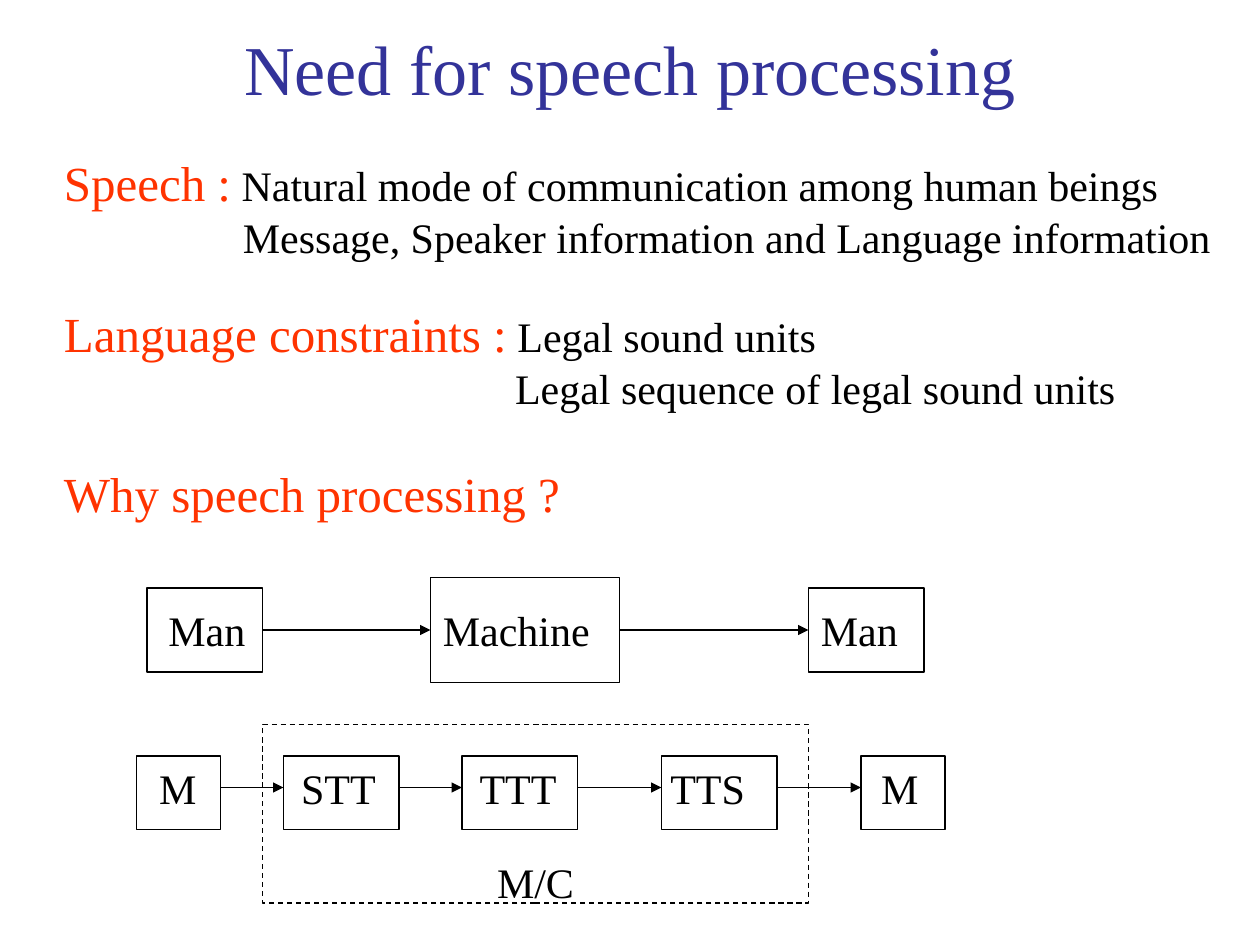
from pptx import Presentation
from pptx.dml.color import RGBColor
from pptx.enum.dml import MSO_LINE
from pptx.enum.shapes import MSO_CONNECTOR, MSO_SHAPE
from pptx.enum.text import MSO_ANCHOR, PP_ALIGN
from pptx.oxml.ns import qn
from pptx.util import Inches, Pt
from lxml import etree

RECTANGLE = MSO_SHAPE.RECTANGLE
STRAIGHT = MSO_CONNECTOR.STRAIGHT
LEFT, CENTER, TOP = PP_ALIGN.LEFT, PP_ALIGN.CENTER, MSO_ANCHOR.TOP
DASH = MSO_LINE.DASH

BLUE = RGBColor(0x33, 0x33, 0x99)
RED = RGBColor(0xFF, 0x33, 0x00)
BLACK = RGBColor(0, 0, 0)

FONT = "Times New Roman"
TITLE_SIZE, HEADING_SIZE, TEXT_SIZE = 40, 28, 24
LINE_HEIGHT = 1.2
LINE_WIDTH = Pt(0.75)
CELL = Inches(1) // 12  # the diagrams sit on a grid of twelfths of an inch
RIGHT_SIDE, LEFT_SIDE = 3, 1


def add_run(paragraph, text, size, color):
    run = paragraph.add_run()
    run.text = text
    run.font.name = FONT
    run.font.size = Pt(size)
    run.font.color.rgb = color


def set_paragraph(paragraph, runs, align=LEFT, indent=0, gap=0):
    """Fill a paragraph with (text, size, color) runs; the largest sets its height."""
    paragraph.alignment = align
    paragraph.line_spacing = Pt(LINE_HEIGHT * max(size for _, size, _ in runs))
    paragraph.space_before = Pt(gap)
    if indent:
        paragraph._p.get_or_add_pPr().set("marL", str(Inches(indent)))
    for run in runs:
        add_run(paragraph, *run)


def add_text(slide, box, paragraphs):
    frame = slide.shapes.add_textbox(*box).text_frame
    frame.word_wrap = True
    for index, options in enumerate(paragraphs):
        paragraph = frame.add_paragraph() if index else frame.paragraphs[0]
        set_paragraph(paragraph, **options)


def add_outline(slide, box):
    shape = slide.shapes.add_shape(RECTANGLE, *box)
    shape.shadow.inherit = False
    shape.fill.background()
    shape.line.color.rgb = BLACK
    shape.line.width = LINE_WIDTH
    return shape


def add_arrow(slide, start, end, y):
    """Join two boxes at height y, glued where y is the middle of their sides."""
    arrow = slide.shapes.add_connector(
        STRAIGHT, start.left + start.width, y, end.left, y)
    if start.top + start.height // 2 == y:
        arrow.begin_connect(start, RIGHT_SIDE)
    if end.top + end.height // 2 == y:
        arrow.end_connect(end, LEFT_SIDE)
    arrow.line.color.rgb = BLACK
    arrow.line.width = LINE_WIDTH
    etree.SubElement(arrow.line._get_or_add_ln(), qn("a:tailEnd"), type="triangle")
    etree.SubElement(arrow._element.spPr, qn("a:effectLst"))


def add_flow(slide, left, flow_row, steps):
    """Place steps (label, column, columns, rows above, rows below, inset) on a line."""
    y = flow_row * CELL
    half_line = Pt(LINE_HEIGHT * TEXT_SIZE) // 2
    boxes = []
    for label, column, columns, above, below, inset in steps:
        box = add_outline(slide, (left + column * CELL, y - above * CELL,
                                  columns * CELL, (above + below) * CELL))
        frame = box.text_frame
        frame.word_wrap = False
        frame.vertical_anchor = TOP
        frame.margin_left = Inches(inset)
        frame.margin_right = frame.margin_bottom = 0
        frame.margin_top = above * CELL - half_line
        set_paragraph(frame.paragraphs[0], [(label, TEXT_SIZE, BLACK)])
        boxes.append(box)
    for start, end in zip(boxes, boxes[1:]):
        add_arrow(slide, start, end, y)


def add_title(slide, box):
    runs = [("Need for speech processing", TITLE_SIZE, BLUE)]
    add_text(slide, box, [dict(runs=runs, align=CENTER)])


def add_body(slide, box):
    def heading(text, detail=None, gap=0):
        runs = [(text, HEADING_SIZE, RED)]
        if detail:
            runs.append((" " + detail, TEXT_SIZE, BLACK))
        return dict(runs=runs, gap=gap)

    def detail(text, indent):
        return dict(runs=[(text, TEXT_SIZE, BLACK)], indent=indent)

    add_text(slide, box, [
        heading("Speech :", "Natural mode of communication among human beings"),
        detail("Message, Speaker information and Language information", 1.42),
        heading("Language constraints :", "Legal sound units", gap=24),
        detail("Legal sequence of legal sound units", 3.58),
        heading("Why speech processing ?", gap=28.8),
    ])


def add_machine_frame(slide, box):
    left, top, width, height = box
    add_outline(slide, box).line.dash_style = DASH
    add_text(slide, (left, top + 12 * CELL, width, 6 * CELL),
             [dict(runs=[("M/C", TEXT_SIZE, BLACK)], align=CENTER)])


def main():
    presentation = Presentation()
    presentation.slide_width = Inches(10)
    presentation.slide_height = Inches(7.5)
    slide = presentation.slides.add_slide(presentation.slide_layouts[6])

    add_title(slide, (0, Inches(0.15), presentation.slide_width, Inches(0.77)))
    add_body(slide, (Inches(0.41), Inches(1.16), Inches(9.5), Inches(3.04)))
    add_flow(slide, 14 * CELL, 60, [
        ("Man", 0, 11, 4, 4, 0.17),
        ("Machine", 27, 18, 5, 5, 0.1),
        ("Man", 63, 11, 4, 4, 0.1),
    ])
    add_flow(slide, 13 * CELL, 75, [
        ("M", 0, 8, 3, 4, 0.18),
        ("STT", 14, 11, 3, 4, 0.14),
        ("TTT", 31, 11, 3, 4, 0.14),
        ("TTS", 50, 11, 3, 4, 0.07),
        ("M", 69, 8, 3, 4, 0.16),
    ])
    add_machine_frame(slide, (25 * CELL, 69 * CELL, 52 * CELL, 17 * CELL))
    presentation.save("out.pptx")


if __name__ == "__main__":
    main()
